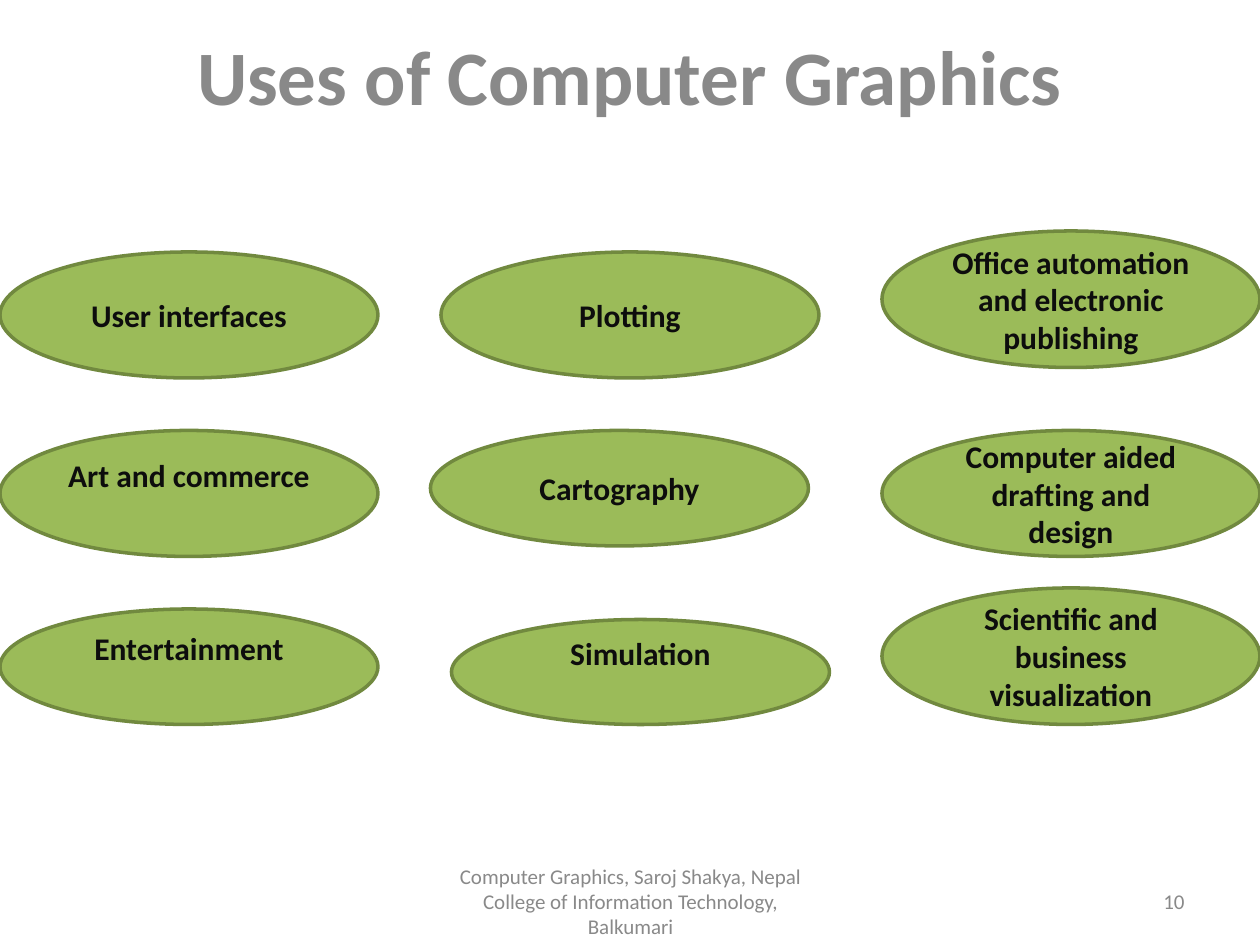
"""Build the slide on the uses of computer graphics."""
import dataclasses

import pptx
import pptx.dml.color
import pptx.enum.shapes
import pptx.enum.text
import pptx.slide
import pptx.text.text
import pptx.util

GRAY = pptx.dml.color.RGBColor(0x89, 0x89, 0x89)
INK = pptx.dml.color.RGBColor(0x0D, 0x0D, 0x0D)
GREEN = pptx.dml.color.RGBColor(0x9B, 0xBB, 0x59)
OLIVE = pptx.dml.color.RGBColor(0x71, 0x89, 0x3F)

UNIT = pptx.util.Inches(1) // 12
ALIGN = pptx.enum.text.PP_ALIGN

TITLE_FONT = {"name": "Calibri", "size": pptx.util.Pt(44), "bold": True}
USE_FONT = {"name": "Calibri", "size": pptx.util.Pt(18), "bold": True}
FOOTER_FONT = {"name": "Calibri", "size": pptx.util.Pt(12), "bold": False}


@dataclasses.dataclass(frozen=True)
class Use:
    """An ellipse placed on a grid of twelfths of an inch."""

    label: str
    column: int
    row: int
    rows: int
    raised: bool = False


@dataclasses.dataclass(frozen=True)
class FooterNote:
    """A line at the foot of the slide, placed in inches."""

    label: str
    left: float
    width: float
    alignment: ALIGN


USE_COLUMNS = 36
USES = (
    Use("Office automation and electronic publishing", 84, 22, 13),
    Use("Computer aided drafting and design", 84, 41, 12),
    Use("User interfaces", 0, 24, 12),
    Use("Art and commerce", 0, 41, 12, raised=True),
    Use("Entertainment", 0, 58, 11, raised=True),
    Use("Simulation", 43, 59, 10, raised=True),
    Use("Scientific and business visualization", 84, 56, 13),
    Use("Plotting", 42, 24, 12),
    Use("Cartography", 41, 41, 11),
)
FOOTER_NOTES = (
    FooterNote("10", 7.17, 2.33, ALIGN.RIGHT),
    FooterNote(
        "Computer Graphics, Saroj Shakya, Nepal College of Information Technology, Balkumari",
        3.42, 3.17, ALIGN.CENTER,
    ),
)


def write_label(
    frame: pptx.text.text.TextFrame,
    label: str,
    font_format: dict,
    color: pptx.dml.color.RGBColor,
    alignment: ALIGN = ALIGN.CENTER,
    bottom: float = 0.05,
) -> None:
    """Fill a text frame with one formatted paragraph."""
    frame_format = {
        "text": label,
        "word_wrap": True,
        "auto_size": pptx.enum.text.MSO_AUTO_SIZE.NONE,
        "vertical_anchor": pptx.enum.text.MSO_ANCHOR.MIDDLE,
        "margin_bottom": pptx.util.Inches(bottom),
    }
    for attribute, value in frame_format.items():
        setattr(frame, attribute, value)
    paragraph = frame.paragraphs[0]
    paragraph.alignment = alignment
    font = paragraph.runs[0].font
    for attribute, value in font_format.items():
        setattr(font, attribute, value)
    font.color.rgb = color


def draw_title(slide: pptx.slide.Slide, label: str) -> None:
    """Place and format the title placeholder."""
    title = slide.shapes.title
    bounds = {"left": 0.75, "top": 0.14, "width": 8.5, "height": 1.61}
    for attribute, value in bounds.items():
        setattr(title, attribute, pptx.util.Inches(value))
    write_label(title.text_frame, label, TITLE_FONT, GRAY, bottom=0.75)


def draw_use(slide: pptx.slide.Slide, use: Use) -> None:
    """Draw one use as a labelled ellipse."""
    ellipse = slide.shapes.add_shape(
        pptx.enum.shapes.MSO_SHAPE.OVAL,
        use.column * UNIT, use.row * UNIT, USE_COLUMNS * UNIT, use.rows * UNIT,
    )
    ellipse.shadow.inherit = False
    ellipse.fill.solid()
    ellipse.fill.fore_color.rgb = GREEN
    ellipse.line.color.rgb = OLIVE
    ellipse.line.width = pptx.util.Pt(2)
    bottom = 0.35 if use.raised else 0.05
    write_label(ellipse.text_frame, use.label, USE_FONT, INK, bottom=bottom)


def draw_footer_note(slide: pptx.slide.Slide, note: FooterNote) -> None:
    """Draw one footer text."""
    left, top, width, height = map(pptx.util.Inches, (note.left, 6.95, note.width, 0.4))
    footer = slide.shapes.add_textbox(left, top, width, height)
    write_label(footer.text_frame, note.label, FOOTER_FONT, GRAY, note.alignment)


def main() -> None:
    """Assemble and save the presentation."""
    presentation = pptx.Presentation()
    presentation.slide_width = pptx.util.Inches(10)
    presentation.slide_height = pptx.util.Inches(7.5)
    slide = presentation.slides.add_slide(presentation.slide_layouts.get_by_name("Title Only"))
    draw_title(slide, "Uses of Computer Graphics")
    for use in USES:
        draw_use(slide, use)
    for note in FOOTER_NOTES:
        draw_footer_note(slide, note)
    presentation.save("out.pptx")


if __name__ == "__main__":
    main()
